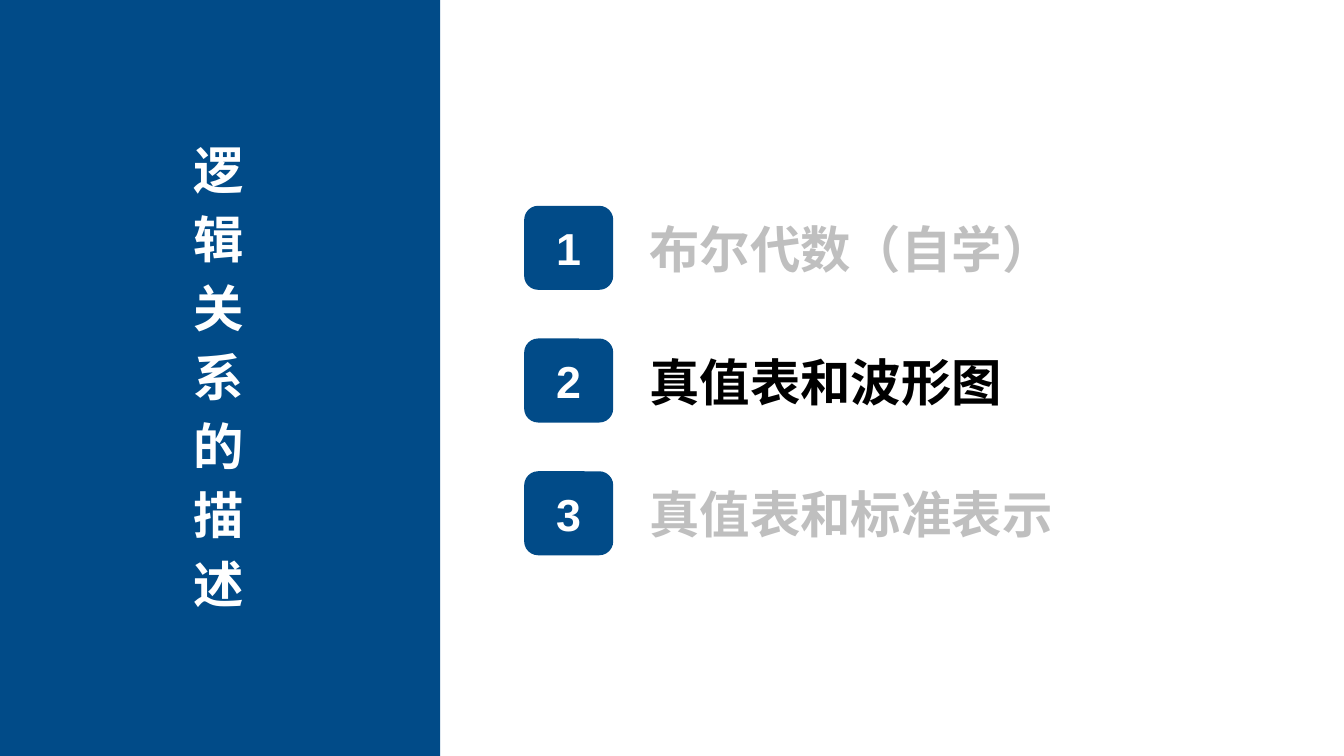
from pptx import Presentation, util as u
from pptx.dml import color
from pptx.enum import shapes, text

COLORS = {"navy": "014B88", "white": "FFFFFF", "muted": "BFBFBF", "active": "000000"}
COLUMNS, ROWS = 160, 90
TITLE = "逻辑关系的描述"
TOPICS = [
    ("布尔代数（自学）", "muted", 66.7),
    ("真值表和波形图", "active", 56.6),
    ("真值表和标准表示", "muted", 62.3),
]
FIRST_ROW, ROW_STEP = 24.5, 15.8


class AgendaSlide:
    """Draws agenda elements on one slide, measured in grid columns and rows."""

    def __init__(self, presentation, font="Arial"):
        self.font = font
        self.slide = presentation.slides.add_slide(presentation.slide_layouts[6])
        self.column = presentation.slide_width / COLUMNS
        self.row = presentation.slide_height / ROWS

    def box(self, left, top, width, height):
        return (round(left * self.column), round(top * self.row),
                round(width * self.column), round(height * self.row))

    def block(self, kind, *area):
        shape = self.slide.shapes.add_shape(kind, *self.box(*area))
        shape.shadow.inherit = False
        shape.fill.solid()
        shape.fill.fore_color.rgb = color.RGBColor.from_string(COLORS["navy"])
        shape.line.fill.background()
        return shape

    def set_words(self, frame, words, size, tint, alignment, space_after=None):
        frame.text = words
        for paragraph in frame.paragraphs:
            paragraph.alignment = alignment
            paragraph.space_after = space_after
            for run in paragraph.runs:
                run.font.name = self.font
                run.font.size = u.Pt(size)
                run.font.bold = True
                run.font.color.rgb = color.RGBColor.from_string(COLORS[tint])

    def badge(self, number, *area):
        frame = self.block(shapes.MSO_SHAPE.ROUNDED_RECTANGLE, *area).text_frame
        frame.margin_left = frame.margin_right = u.Inches(0.08)
        frame.vertical_anchor = text.MSO_ANCHOR.MIDDLE
        self.set_words(frame, str(number), 32, "white", text.PP_ALIGN.CENTER)

    def label(self, words, tint, *area, anchor=text.MSO_ANCHOR.MIDDLE,
              alignment=text.PP_ALIGN.LEFT, space_after=None):
        frame = self.slide.shapes.add_textbox(*self.box(*area)).text_frame
        frame.word_wrap = True
        frame.auto_size = text.MSO_AUTO_SIZE.SHAPE_TO_FIT_TEXT
        frame.margin_left = frame.margin_right = 0
        frame.margin_top = frame.margin_bottom = 0
        frame.vertical_anchor = anchor
        self.set_words(frame, words, 36, tint, alignment, space_after)


def main():
    presentation = Presentation()
    presentation.slide_width = u.Inches(13.33)
    presentation.slide_height = u.Inches(7.5)
    agenda = AgendaSlide(presentation)

    agenda.block(shapes.MSO_SHAPE.RECTANGLE, 0, 0, 52.4, ROWS)
    for index, (topic, tint, width) in enumerate(TOPICS):
        top = FIRST_ROW + index * ROW_STEP
        agenda.badge(index + 1, 62.4, top, 10.6, 10)
        agenda.label(topic, tint, 77.3, top + 1.4, width, 7.3)
    agenda.label("\n".join(TITLE), "white", 13.6, 16.6, 25, 57,
                 anchor=text.MSO_ANCHOR.TOP, alignment=text.PP_ALIGN.CENTER,
                 space_after=u.Pt(6))

    presentation.save("out.pptx")


if __name__ == "__main__":
    main()
